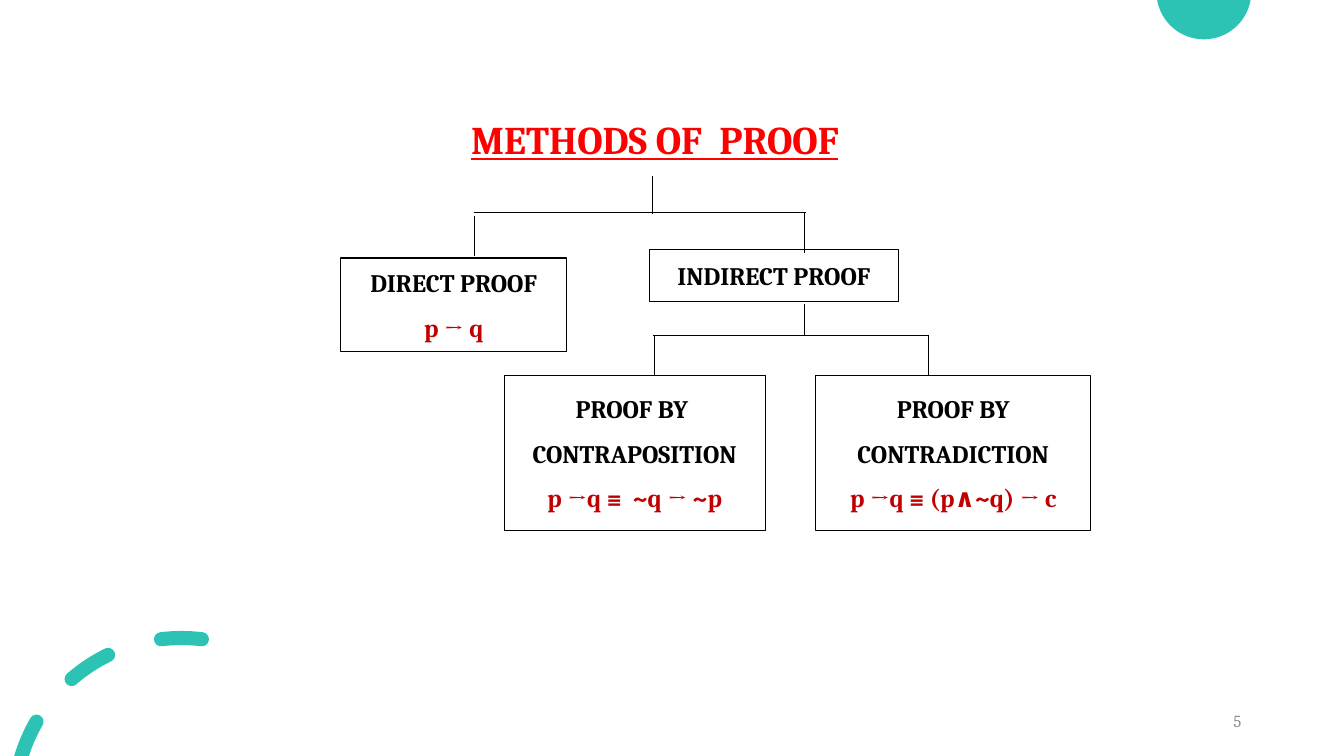
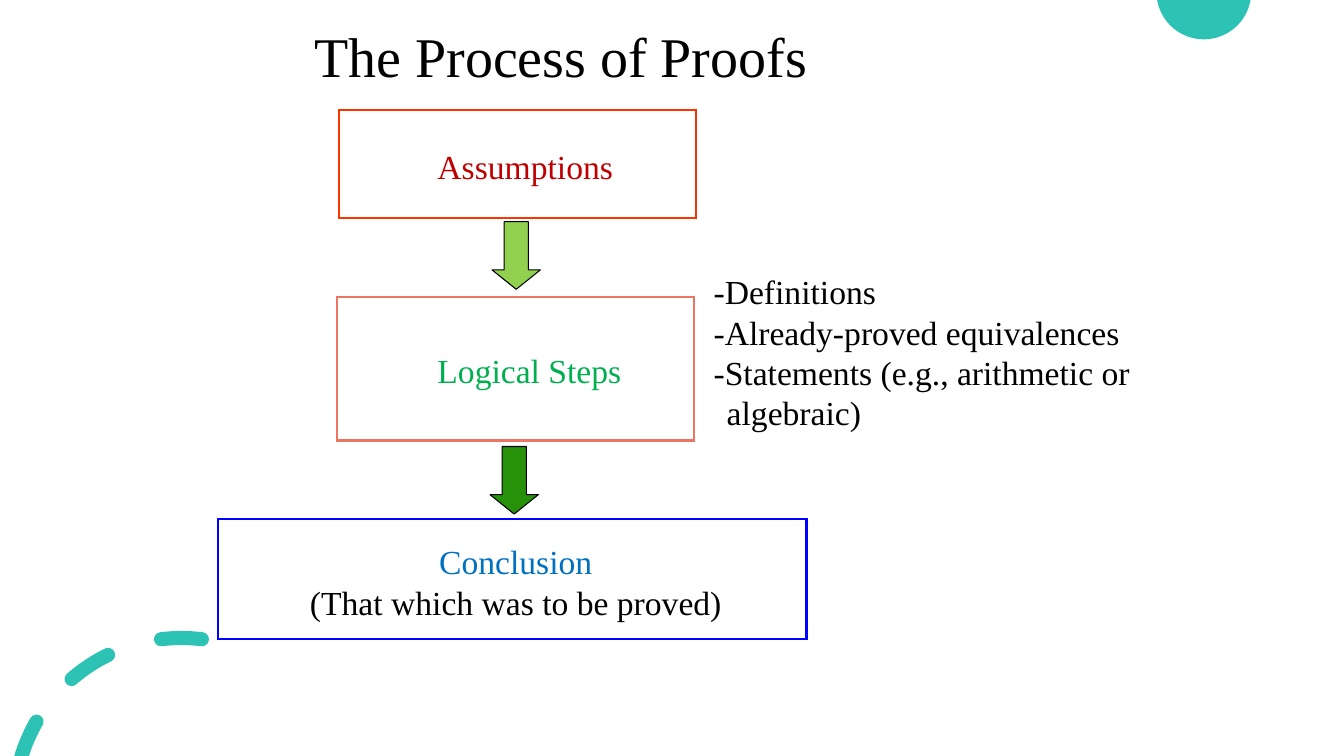
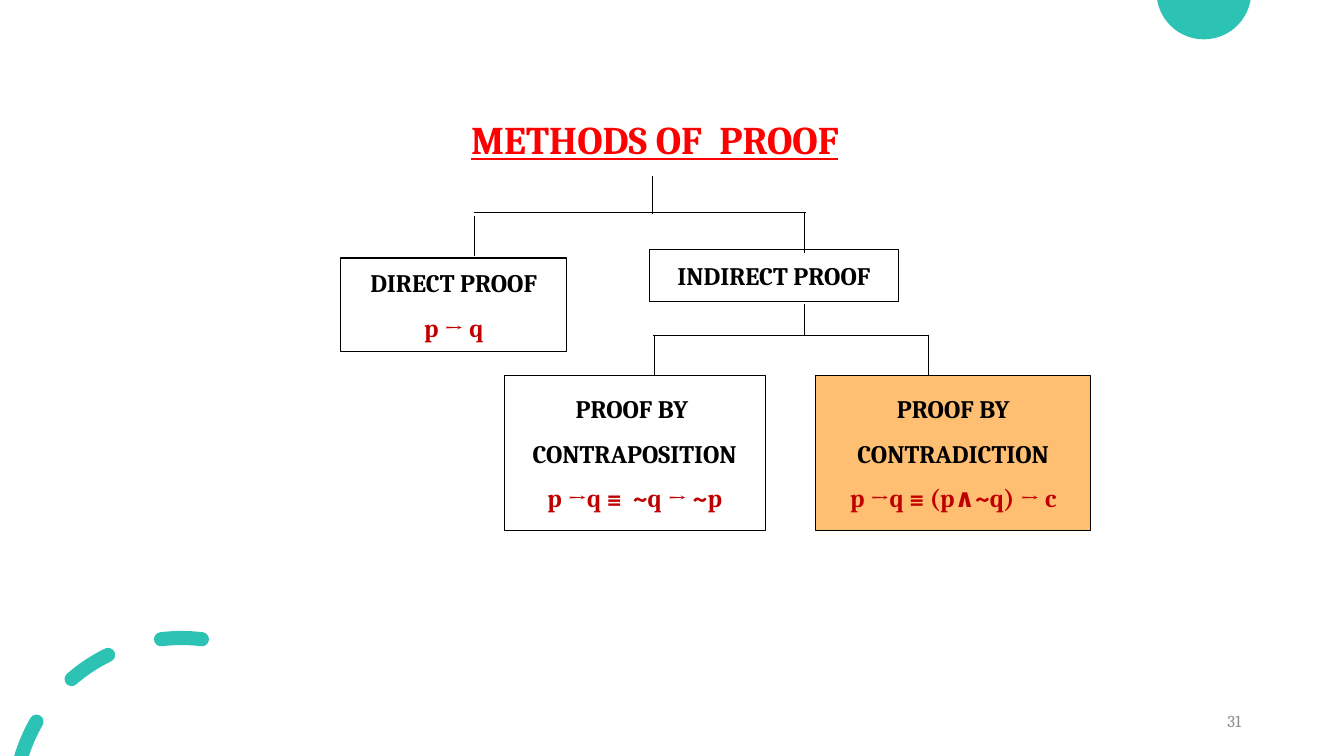
import math
from dataclasses import dataclass

from lxml import etree
from pptx import Presentation
from pptx import util as u
from pptx.dml.color import RGBColor
from pptx.enum import shapes, text
from pptx.oxml.ns import qn


@dataclass(frozen=True)
class Theme:
    teal: str = "2CC3B4"
    black: str = "000000"
    grey: str = "8C8C8C"
    red: str = "FF0000"
    formula: str = "C00000"
    highlight: str = "FFBF72"
    assumption_edge: str = "FF3300"
    steps_edge: str = "EE7661"
    conclusion_edge: str = "0000FF"
    steps: str = "00B050"
    conclusion: str = "0070C0"
    light_arrow: str = "92D050"
    dark_arrow: str = "269109"
    tree_font: str = "Cambria"
    process_font: str = "Times New Roman"
    number_size: int = 12
    box_size: int = 18
    process_size: int = 24
    heading_size: int = 28
    title_size: int = 40
    thin: float = 0.75
    thick: float = 1.5


theme = Theme()
LEFT, CENTER, RIGHT = text.PP_ALIGN.LEFT, text.PP_ALIGN.CENTER, text.PP_ALIGN.RIGHT
TOP, MIDDLE = text.MSO_ANCHOR.TOP, text.MSO_ANCHOR.MIDDLE


def arc(x, y, radius, start, end, curves=1):
    step = math.radians(end - start) / curves
    reach = 4 / 3 * math.tan(step / 4)
    points = []
    for i in range(curves):
        a = math.radians(start) + i * step
        b = a + step
        points += [
            (math.sin(a), -math.cos(a)),
            (math.sin(a) + reach * math.cos(a), -math.cos(a) + reach * math.sin(a)),
            (math.sin(b) - reach * math.cos(b), -math.cos(b) - reach * math.sin(b)),
        ]
    points.append((math.sin(b), -math.cos(b)))
    return [(u.Inches(x + radius * px), u.Inches(y + radius * py)) for px, py in points]


def write(shape, lines, font, size, align=LEFT, anchor=MIDDLE, bold=False, after=0):
    frame = shape.text_frame
    frame.word_wrap = True
    frame.vertical_anchor = anchor
    frame.text = "\n".join(line for line, color in lines)
    for para, (line, color) in zip(frame.paragraphs, lines):
        para.alignment = align
        para.space_after = u.Pt(after)
        for span in para.runs:
            span.font.name = font
            span.font.size = u.Pt(size)
            span.font.bold = bold
            span.font.color.rgb = RGBColor.from_string(color)
    return frame


deck = Presentation()
deck.slide_width, deck.slide_height = u.Inches(13.33), u.Inches(7.5)
blank = deck.slide_layouts[6]
for holder in list(blank.placeholders):
    blank.shapes.element.remove(holder.element)
first_tree, process, second_tree = [deck.slides.add_slide(blank) for _ in range(3)]

ring_x, ring_y, ring_radius, half_stroke = 1.8, 7.99, 1.66, 0.07
dashes = []
for outer_start, inner_start, end in [(-73.5, -72.05, -60), (-41, -41, -26), (-7, -7, 7)]:
    tips = []
    for angle in (outer_start, end):
        turn = math.radians(angle)
        tips.append((ring_x + ring_radius * math.sin(turn), ring_y - ring_radius * math.cos(turn)))
    outline = arc(ring_x, ring_y, ring_radius + half_stroke, outer_start, end)
    outline += arc(*tips[1], half_stroke, end, end + 180, 2)[1:]
    outline += arc(ring_x, ring_y, ring_radius - half_stroke, end, inner_start)[1:]
    if outer_start == inner_start:
        outline += arc(*tips[0], half_stroke, outer_start + 180, outer_start + 360, 2)[1:]
    dashes.append(outline)
disc = arc(11.94, -0.08, 0.47, 99.8, 260.2, 2)

for outlines in ([disc], dashes):
    builder = first_tree.shapes.build_freeform(*outlines[0][0], scale=1.0)
    for outline in outlines:
        if outline is not outlines[0]:
            builder.move_to(*outline[0])
        builder.add_line_segments(outline[1:], close=True)
    ornament = builder.convert_to_shape()
    segments = list(ornament.element.iter(qn("a:lnTo")))
    for i in range(0, len(segments), 3):
        curve = etree.Element(qn("a:cubicBezTo"))
        segments[i].addprevious(curve)
        for segment in segments[i:i + 3]:
            curve.append(segment[0])
            segment.getparent().remove(segment)
    ornament.shadow.inherit = False
    ornament.fill.solid()
    ornament.fill.fore_color.rgb = RGBColor.from_string(theme.teal)
    ornament.line.fill.background()
    blank.shapes.element.append(ornament.element)

tree_lines = [
    (6.47, 1.75, 6.47, 2.12),
    (4.7, 2.11, 7.99, 2.11),
    (4.71, 2.14, 4.71, 2.54),
    (7.98, 2.11, 7.98, 2.51),
    (7.98, 3.02, 7.98, 3.32),
    (6.48, 3.33, 9.21, 3.33),
    (6.49, 3.32, 6.49, 3.72),
    (9.21, 3.32, 9.21, 3.72),
]
tree_boxes = [
    ((6.44, 2.48, 2.47, 0.51), ["INDIRECT PROOF"], None),
    ((3.38, 2.56, 2.24, 0.93), ["DIRECT PROOF"], "p → q"),
    ((5, 3.73, 2.59, 1.53), ["PROOF BY ", "CONTRAPOSITION"], "p →q ≡  ~q → ~p"),
    ((8.09, 3.73, 2.73, 1.53), ["PROOF BY", "CONTRADICTION"], "p →q ≡ (p∧~q) → c"),
]

for page, number, highlighted in [(first_tree, "5", None), (second_tree, "31", "CONTRADICTION")]:
    box = page.shapes.add_textbox(*map(u.Inches, (9.41, 6.95, 3, 0.4)))
    write(box, [(number, theme.grey)], theme.tree_font, theme.number_size, RIGHT)

    for ends in tree_lines:
        branch = page.shapes.add_connector(shapes.MSO_CONNECTOR.STRAIGHT, *map(u.Inches, ends))
        branch.line.color.rgb = RGBColor.from_string(theme.black)
        branch.line.width = u.Pt(theme.thin)
        etree.SubElement(branch.element.spPr, qn("a:effectLst"))

    for place, names, formula in tree_boxes:
        box = page.shapes.add_shape(shapes.MSO_SHAPE.RECTANGLE, *map(u.Inches, place))
        box.shadow.inherit = False
        box.line.color.rgb = RGBColor.from_string(theme.black)
        box.line.width = u.Pt(theme.thin)
        if highlighted in names:
            box.fill.solid()
            box.fill.fore_color.rgb = RGBColor.from_string(theme.highlight)
        else:
            box.fill.background()
        lines = [(name, theme.black) for name in names]
        if formula:
            lines.append((formula, theme.formula))
        write(box, lines, theme.tree_font, theme.box_size, CENTER, bold=True, after=10)

    box = page.shapes.add_textbox(*map(u.Inches, (4.32, 1.01, 4.35, 0.74)))
    frame = write(box, [("METHODS OF  PROOF", theme.red)], theme.tree_font, theme.heading_size,
                  CENTER, bold=True, after=10)
    frame.paragraphs[0].runs[0].font.underline = True

title = process.shapes.add_textbox(*map(u.Inches, (3.02, 0.15, 7.01, 0.87)))
frame = write(title, [("The Process of Proofs", theme.black)], theme.process_font, theme.title_size)
frame.paragraphs[0].line_spacing = 0.9

stages = [
    ((3.36, 1.09, 3.54, 1.07), theme.assumption_edge, (4.24, 1.4, 2.39, 0.5), LEFT,
     [("Assumptions", theme.formula)]),
    ((3.34, 2.95, 3.54, 1.42), theme.steps_edge, (4.24, 3.42, 2.39, 0.5), LEFT,
     [("Logical Steps", theme.steps)]),
    ((2.16, 5.15, 5.84, 1.19), theme.conclusion_edge, (2.47, 5.32, 5.29, 0.91), CENTER,
     [("Conclusion", theme.conclusion), ("(That which was to be proved)", theme.black)]),
]
for place, edge, label_place, align, lines in stages:
    box = process.shapes.add_shape(shapes.MSO_SHAPE.RECTANGLE, *map(u.Inches, place))
    box.shadow.inherit = False
    box.fill.background()
    box.line.color.rgb = RGBColor.from_string(edge)
    box.line.width = u.Pt(theme.thick)
    etree.SubElement(box.element.spPr.find(qn("a:ln")), qn("a:miter"), lim="800000")
    label = process.shapes.add_textbox(*map(u.Inches, label_place))
    write(label, lines, theme.process_font, theme.process_size, align, TOP)

for left, top, color in [(4.88, 2.2, theme.light_arrow), (4.86, 4.43, theme.dark_arrow)]:
    arrow = process.shapes.add_shape(
        shapes.MSO_SHAPE.DOWN_ARROW, *map(u.Inches, (left, top, 0.48, 0.67)))
    arrow.adjustments[0], arrow.adjustments[1] = 0.5, 0.4
    arrow.shadow.inherit = False
    arrow.fill.solid()
    arrow.fill.fore_color.rgb = RGBColor.from_string(color)
    arrow.line.color.rgb = RGBColor.from_string(theme.black)
    arrow.line.width = u.Pt(theme.thin)

reasons = ["-Definitions", "-Already-proved equivalences",
           "-Statements (e.g., arithmetic or algebraic)"]
box = process.shapes.add_textbox(*map(u.Inches, (6.98, 2.64, 4.5, 2.12)))
frame = write(box, [(reason, theme.black) for reason in reasons], theme.process_font,
              theme.process_size, anchor=TOP)
for para in frame.paragraphs:
    properties = para._p.get_or_add_pPr()
    properties.set("marL", str(u.Inches(0.13)))
    properties.set("indent", str(u.Inches(-0.13)))

deck.save("out.pptx")
